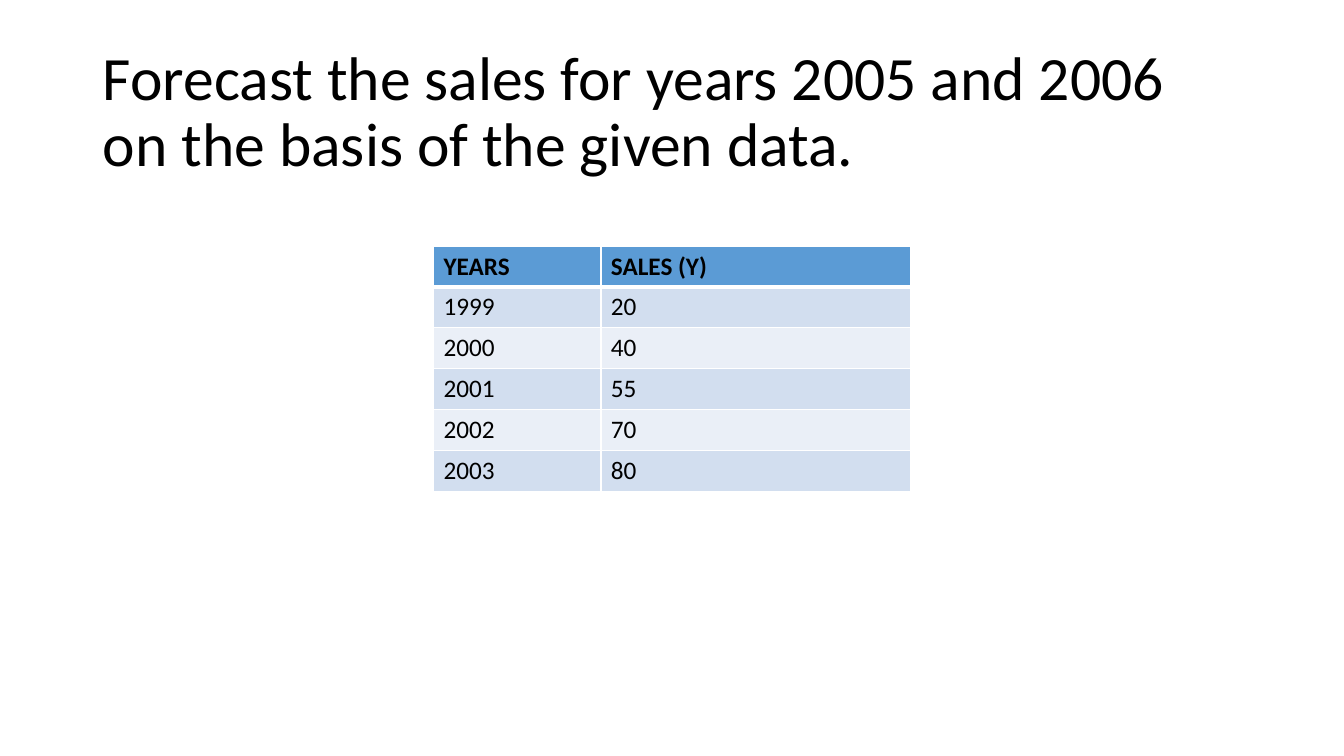
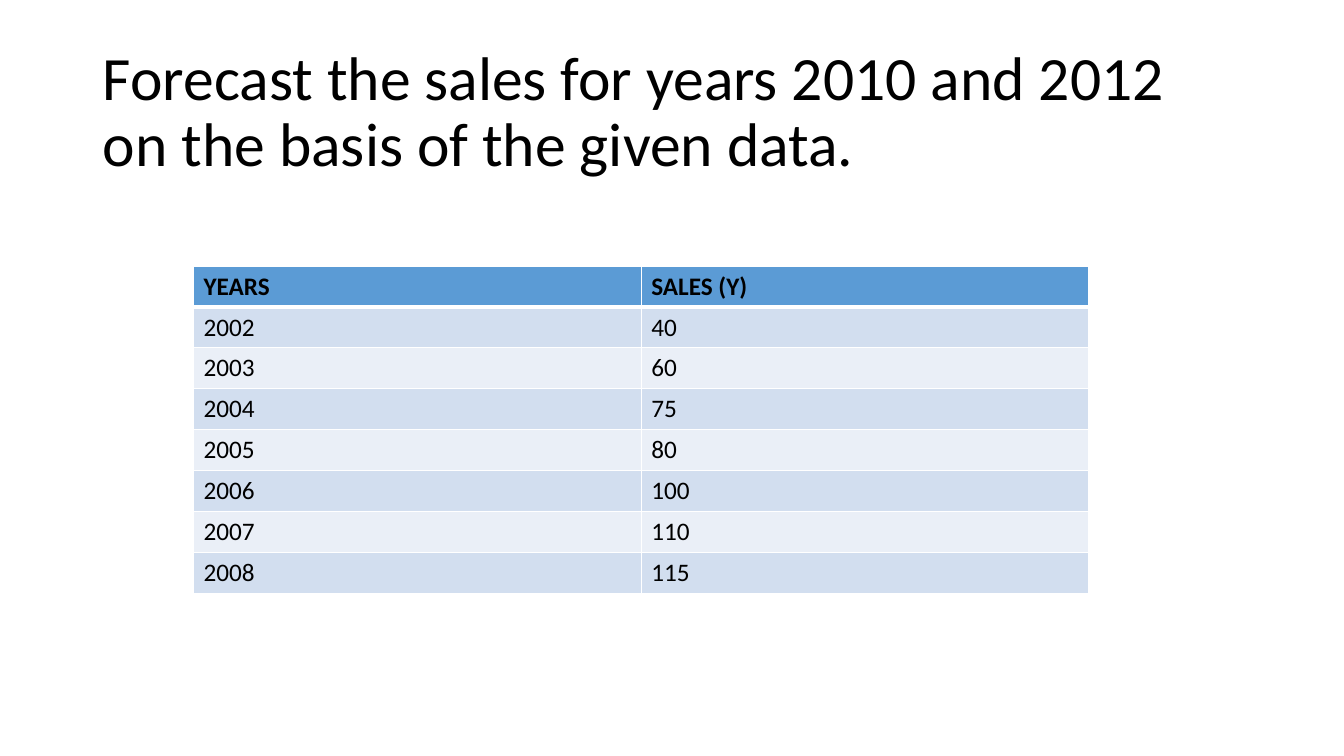
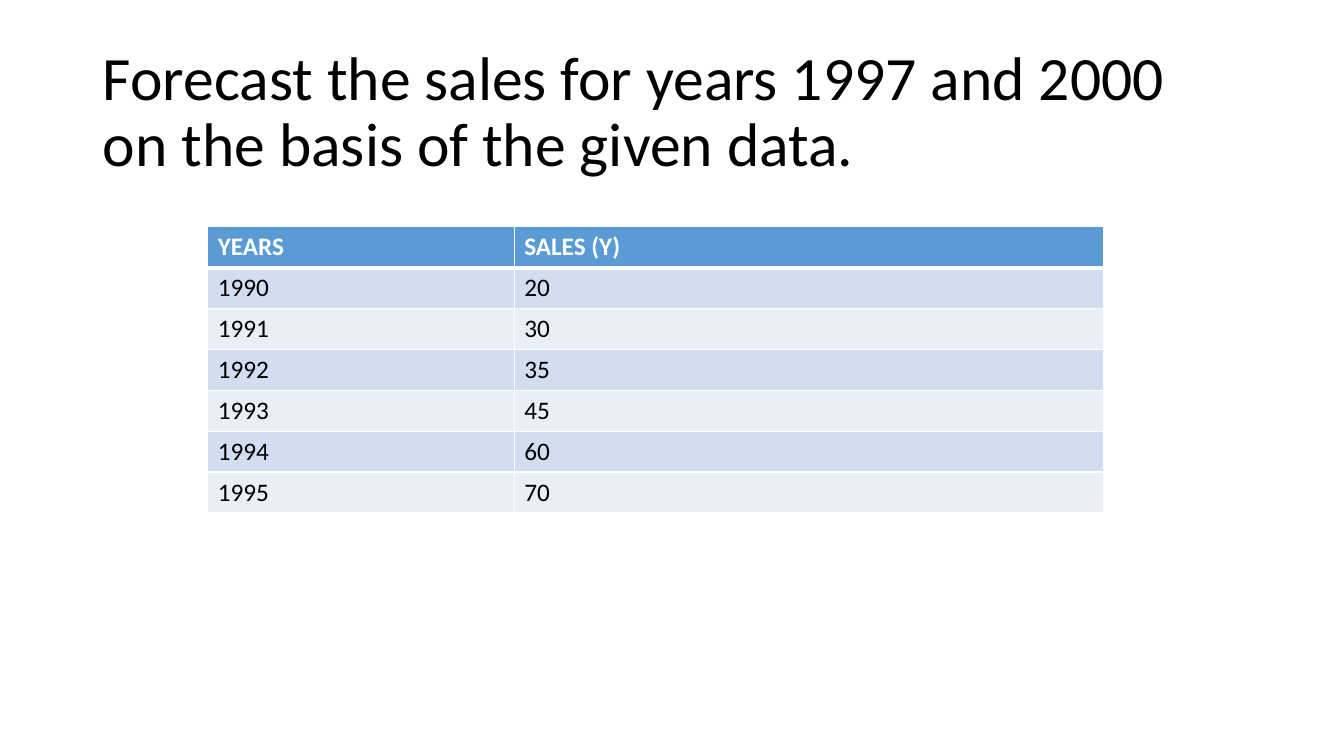
from dataclasses import dataclass

from lxml import etree
from pptx import Presentation
from pptx.dml.color import RGBColor
from pptx.enum.text import MSO_ANCHOR, MSO_AUTO_SIZE, PP_ALIGN
from pptx.oxml.ns import qn
from pptx.util import Inches, Pt

LEFT = PP_ALIGN.LEFT
MIDDLE = MSO_ANCHOR.MIDDLE
NO_AUTOFIT = MSO_AUTO_SIZE.NONE

# Shared look
FONT = "Calibri"
BLACK, WHITE = "000000", "FFFFFF"
HEADER_FILL = "5B9BD5"
BAND_FILLS = ("D2DEEF", "EAEFF7")
GRID_PT, HEADER_RULE_PT = 1, 3
TITLE_ONLY = 5
HEADINGS = ("YEARS", "SALES (Y)")


@dataclass(frozen=True)
class Exercise:
    """One forecasting question with its sales history; lengths in inches."""
    target_years: tuple[int, int]
    first_year: int
    sales: tuple[int, ...]
    left: float
    top: float
    height: float
    column_widths: tuple[float, float]
    heading_color: str = BLACK


EXERCISES = (
    Exercise((2005, 2006), 1999, (20, 40, 55, 70, 80),
             4.3, 2.44, 2.43, (1.66, 3.07)),
    Exercise((2010, 2012), 2002, (40, 60, 75, 80, 100, 110, 115),
             1.92, 2.64, 3.24, (4.44, 4.44)),
    Exercise((1997, 2000), 1990, (20, 30, 35, 45, 60, 70),
             2.06, 2.25, 2.84, (3.04, 5.85), WHITE),
)


def rgb(color: str) -> RGBColor:
    return RGBColor.from_string(color)


def add_run(paragraph, text: str, size: int, color: str, bold: bool = False) -> None:
    run = paragraph.add_run()
    run.text = text
    run.font.name = FONT
    run.font.size = Pt(size)
    run.font.bold = bold
    run.font.color.rgb = rgb(color)


def add_border(cell, side: str, width: int) -> None:
    properties = cell._tc.get_or_add_tcPr()
    line = etree.SubElement(properties, qn(f"a:ln{side}"), w=str(Pt(width)))
    fill = etree.SubElement(line, qn("a:solidFill"))
    etree.SubElement(fill, qn("a:srgbClr"), val=WHITE)


def format_cell(cell, row: int, text: str, heading_color: str) -> None:
    is_header = row == 0
    # The heavy rule is shared by the header and the first data row
    widths = {
        "L": GRID_PT,
        "R": GRID_PT,
        "T": HEADER_RULE_PT if row == 1 else GRID_PT,
        "B": HEADER_RULE_PT if is_header else GRID_PT,
    }
    for side, width in widths.items():
        add_border(cell, side, width)
    cell.fill.solid()
    cell.fill.fore_color.rgb = rgb(HEADER_FILL if is_header else BAND_FILLS[(row - 1) % 2])
    add_run(cell.text_frame.paragraphs[0], text, 18,
            heading_color if is_header else BLACK, is_header)


def set_title(slide, text: str) -> None:
    title = slide.shapes.title
    title.left, title.top = Inches(0.92), Inches(0.4)
    title.width, title.height = Inches(11.5), Inches(1.45)
    frame = title.text_frame
    frame.word_wrap = True
    frame.auto_size = NO_AUTOFIT
    frame.vertical_anchor = MIDDLE
    paragraph = frame.paragraphs[0]
    paragraph.alignment = LEFT
    paragraph.line_spacing = 0.9
    add_run(paragraph, text, 44, BLACK)


def add_sales_table(slide, exercise: Exercise) -> None:
    history = enumerate(exercise.sales, exercise.first_year)
    rows = [HEADINGS, *((str(year), str(amount)) for year, amount in history)]
    table = slide.shapes.add_table(
        len(rows), len(HEADINGS), Inches(exercise.left), Inches(exercise.top),
        Inches(sum(exercise.column_widths)), Inches(exercise.height)).table
    for column, width in zip(table.columns, exercise.column_widths):
        column.width = Inches(width)
    for row, texts in enumerate(rows):
        for column, text in enumerate(texts):
            format_cell(table.cell(row, column), row, text, exercise.heading_color)


def main() -> None:
    deck = Presentation()
    deck.slide_width, deck.slide_height = Inches(13.33), Inches(7.5)
    for exercise in EXERCISES:
        slide = deck.slides.add_slide(deck.slide_layouts[TITLE_ONLY])
        first, second = exercise.target_years
        set_title(slide, f"Forecast the sales for years {first} and {second} "
                         "on the basis of the given data.")
        add_sales_table(slide, exercise)
    deck.save("out.pptx")


if __name__ == "__main__":
    main()
